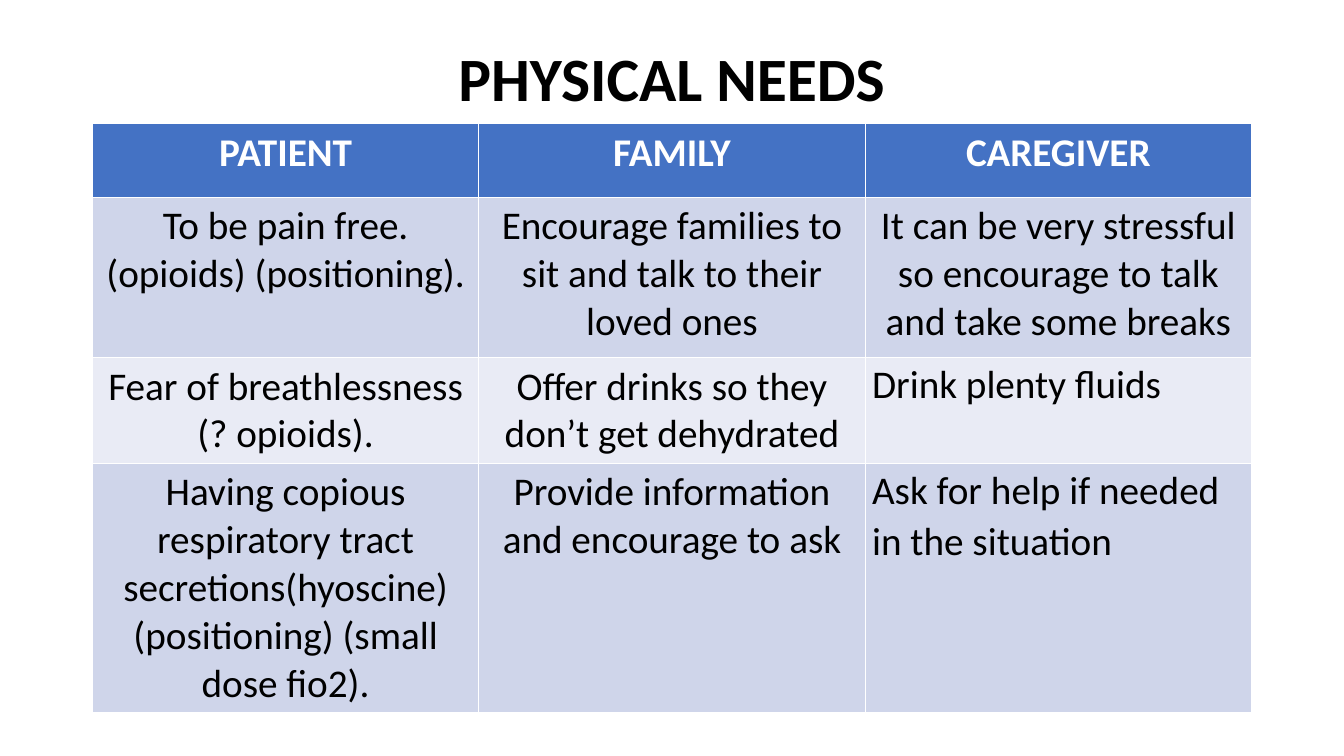
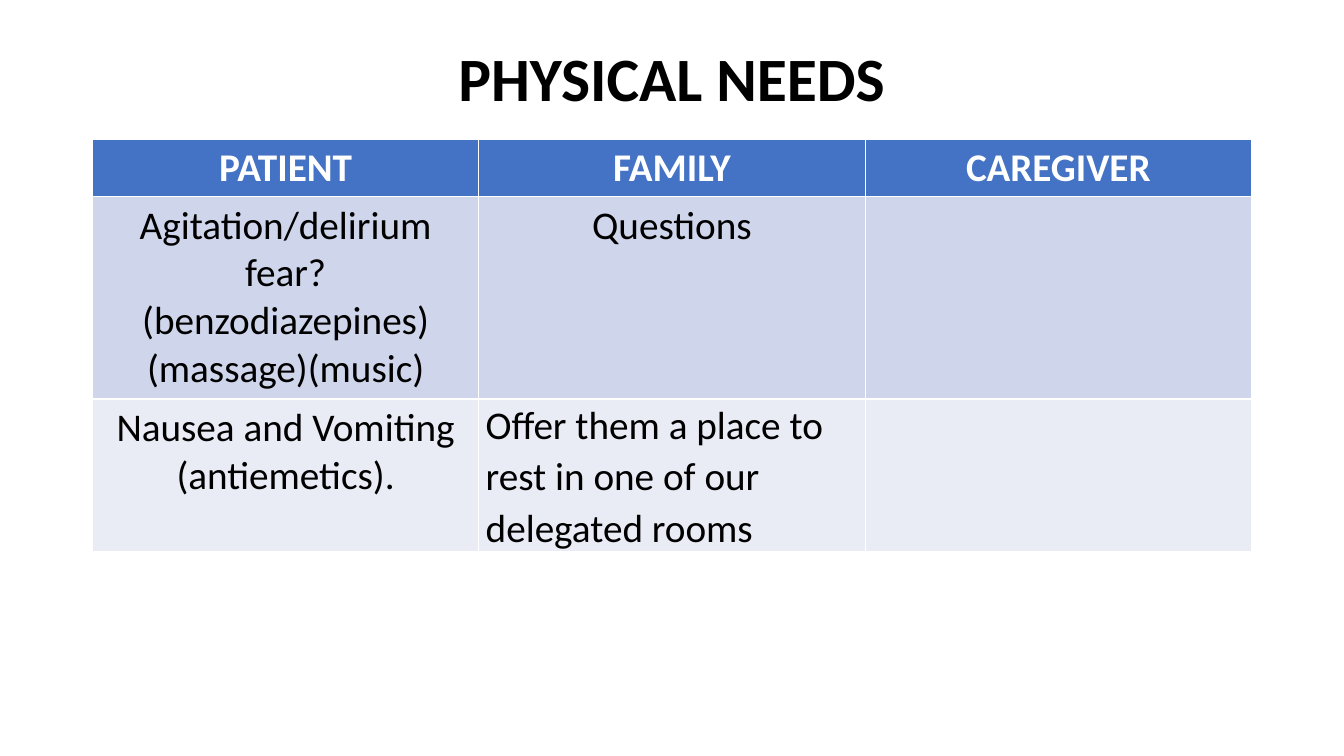
"""Build two slides that tabulate physical needs of patient, family and caregiver."""
from pptx import Presentation
from pptx.dml.color import RGBColor
from pptx.enum.text import MSO_ANCHOR, PP_ALIGN
from pptx.util import Pt

CENTER, LEFT = PP_ALIGN.CENTER, PP_ALIGN.LEFT
MIDDLE = MSO_ANCHOR.MIDDLE
FONT = "Calibri"
BLACK, WHITE = "000000", "FFFFFF"
HEADER_FILL = "4472C4"
BAND_FILLS = ["CFD5EA", "E9EBF5"]
TITLE = "PHYSICAL NEEDS"
HEADERS = ["PATIENT", "FAMILY", "CAREGIVER"]
MARGIN, CONTENT_WIDTH = 66, 828
BODY_SIZE = 28


def color(hex_text):
    return RGBColor.from_string(hex_text)


def style(paragraph, size, hex_text, bold, alignment, spacing):
    paragraph.alignment = alignment
    paragraph.line_spacing = spacing
    paragraph.font.name = FONT
    paragraph.font.size = Pt(size)
    paragraph.font.bold = bold
    paragraph.font.color.rgb = color(hex_text)


SLIDES = [
    {
        "top": 88.5,
        "heights": [52.5, 114.5, 75.5, 178],
        "rows": [
            ["To be pain free. (opioids) (positioning).",
             "Encourage families to sit and talk to their loved ones",
             "It can be very stressful so encourage to talk and take some breaks"],
            ["Fear of breathlessness (? opioids).",
             "Offer drinks so they don’t get dehydrated",
             "Drink plenty fluids"],
            ["Having copious respiratory tract secretions(hyoscine) (positioning) (small dose fio2).",
             "Provide information and encourage to ask",
             "Ask for help if needed in the situation"],
        ],
        "left_aligned": {(2, 2), (3, 2)},
    },
    {
        "top": 99.5,
        "heights": [41, 144.5, 109],
        "rows": [
            ["Agitation/delirium fear? (benzodiazepines) (massage)(music)", "Questions", ""],
            ["Nausea and Vomiting (antiemetics).",
             "Offer them a place to rest in one of our delegated rooms", ""],
        ],
        "left_aligned": {(2, 1)},
    },
]

presentation = Presentation()
presentation.slide_width = Pt(960)
presentation.slide_height = Pt(540)
blank_layout = presentation.slide_layouts[6]

for content in SLIDES:
    slide = presentation.slides.add_slide(blank_layout)

    title_box = slide.shapes.add_textbox(Pt(MARGIN), Pt(28.75), Pt(CONTENT_WIDTH), Pt(59.75))
    title_frame = title_box.text_frame
    title_frame.word_wrap = True
    title_frame.vertical_anchor = MIDDLE
    title_frame.text = TITLE
    style(title_frame.paragraphs[0], 44, BLACK, True, CENTER, 0.9)

    rows = [HEADERS] + content["rows"]
    heights = content["heights"]
    table = slide.shapes.add_table(
        len(rows), len(HEADERS), Pt(MARGIN), Pt(content["top"]),
        Pt(CONTENT_WIDTH), Pt(sum(heights))).table
    for column in table.columns:
        column.width = Pt(CONTENT_WIDTH / len(HEADERS))

    for row_index, texts in enumerate(rows):
        table.rows[row_index].height = Pt(heights[row_index])
        is_header = row_index == 0
        fill = HEADER_FILL if is_header else BAND_FILLS[(row_index - 1) % 2]
        for column_index, text in enumerate(texts):
            cell = table.cell(row_index, column_index)
            cell.fill.solid()
            cell.fill.fore_color.rgb = color(fill)
            cell.text = text
            alignment, spacing = CENTER, 1.0
            if (row_index, column_index) in content["left_aligned"]:
                alignment, spacing = LEFT, 1.07
                cell.margin_left = cell.margin_right = Pt(5)
                cell.margin_top = cell.margin_bottom = Pt(0)
            style(cell.text_frame.paragraphs[0], BODY_SIZE,
                  WHITE if is_header else BLACK, is_header, alignment, spacing)

presentation.save("out.pptx")
